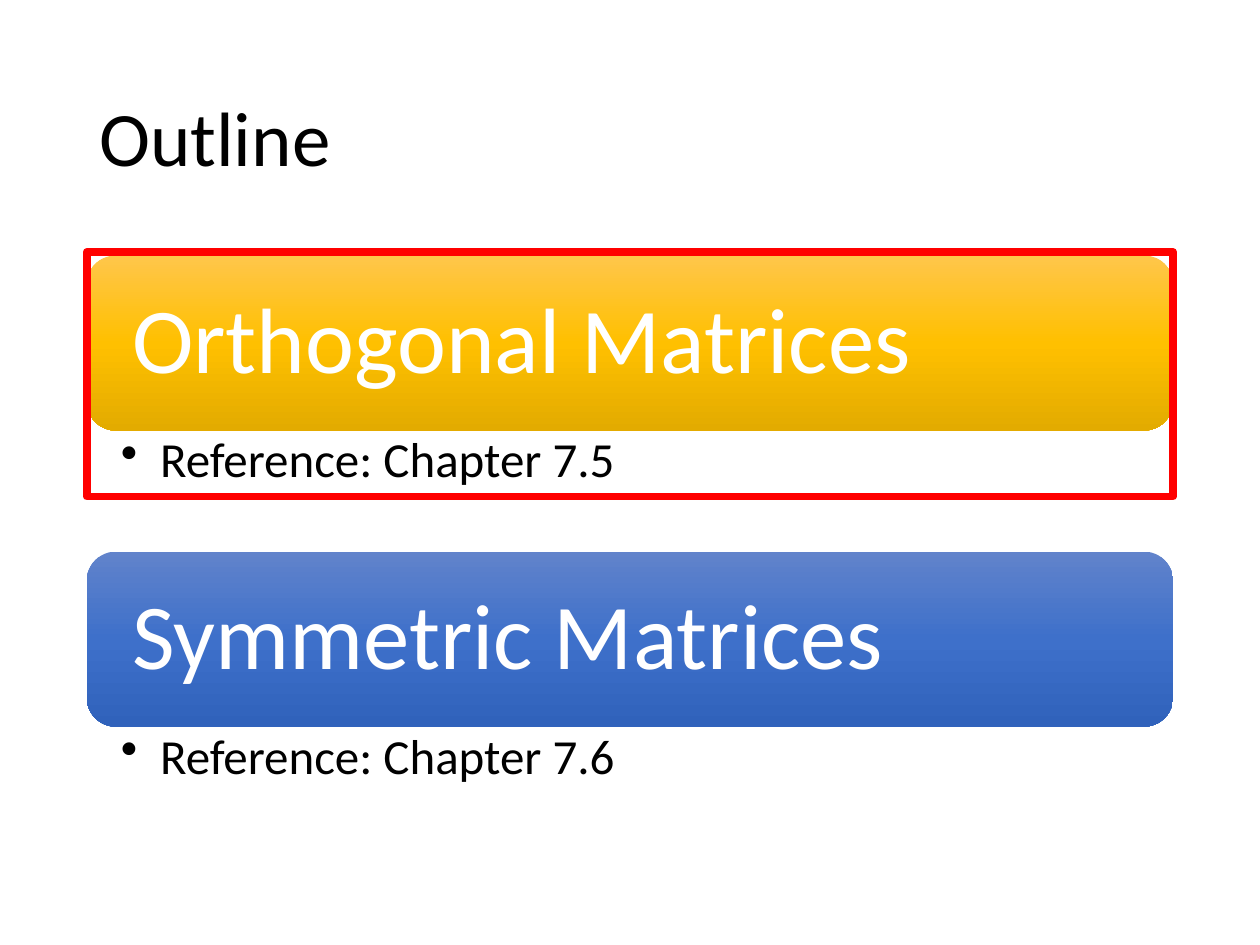
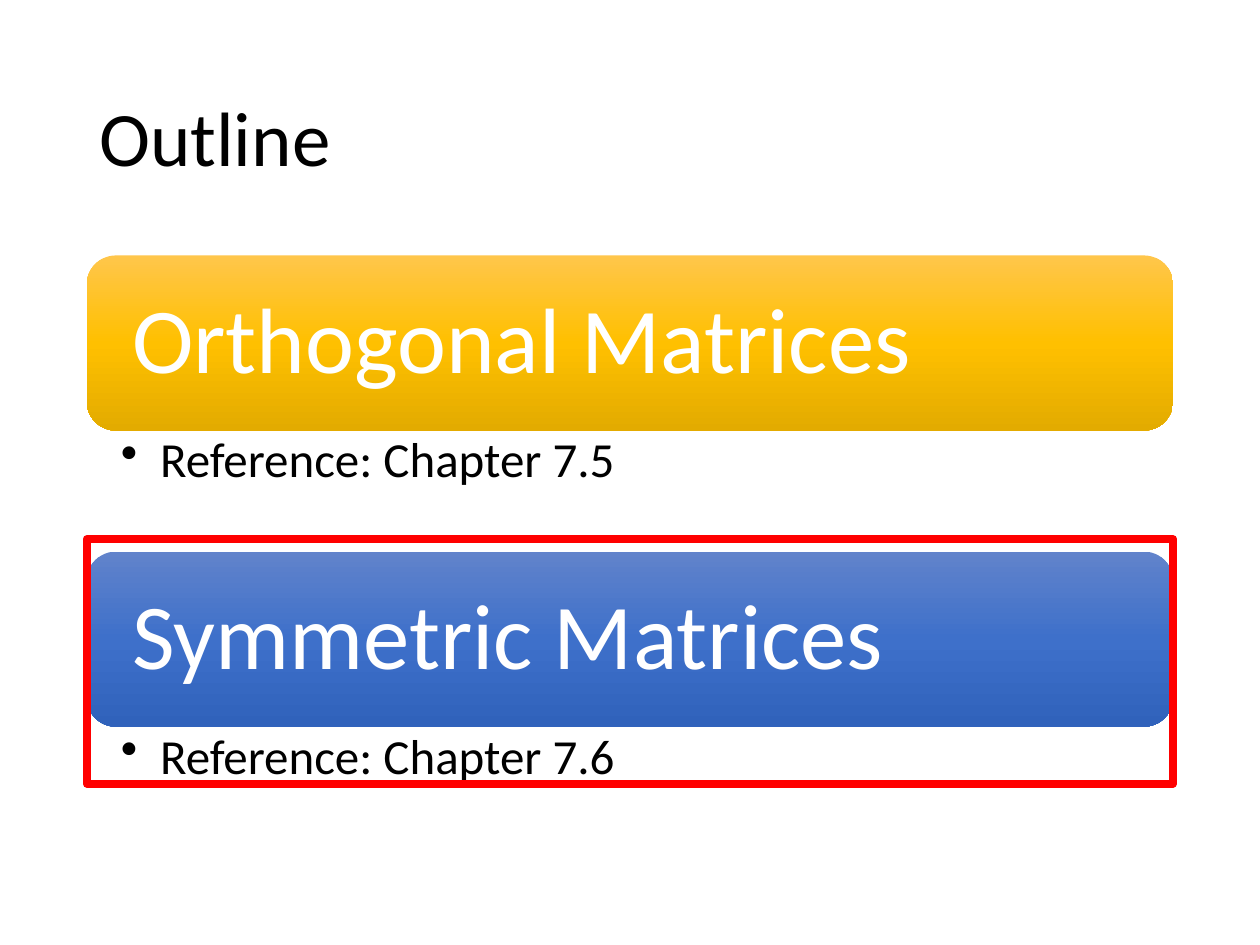
from copy import deepcopy

from pptx import Presentation
from pptx.dml.color import RGBColor
from pptx.enum.shapes import MSO_SHAPE
from pptx.enum.text import MSO_ANCHOR, PP_ALIGN
from pptx.oxml.ns import qn
from pptx.util import Cm, Pt

RECTANGLE = MSO_SHAPE.RECTANGLE
ROUNDED = MSO_SHAPE.ROUNDED_RECTANGLE
MIDDLE = MSO_ANCHOR.MIDDLE
TOP = MSO_ANCHOR.TOP
LEFT_ALIGNED = PP_ALIGN.LEFT

BLACK = RGBColor(0x00, 0x00, 0x00)
WHITE = RGBColor(0xFF, 0xFF, 0xFF)
RED = RGBColor(0xFF, 0x00, 0x00)
GOLDS = (RGBColor(0xFF, 0xC6, 0x4B), RGBColor(0xFF, 0xC0, 0x00), RGBColor(0xE3, 0xAB, 0x00))
BLUES = (RGBColor(0x61, 0x83, 0xCB), RGBColor(0x3E, 0x70, 0xCA), RGBColor(0x30, 0x62, 0xBB))

FONT = "Calibri"
LEFT, WIDTH = Cm(1.75), Cm(21.9)
TITLE_TOP, TITLE_HEIGHT = Cm(1.02), Cm(3.68)
TOPICS_TOP = Cm(5.15)
BANNER_HEIGHT, REFERENCE_HEIGHT = Cm(3.53), Cm(2.44)
HIGHLIGHT_HEIGHT = Cm(4.93)
BULLET_INDENT = Cm(0.79)

TOPICS = (
    ("Orthogonal Matrices", "Reference: Chapter 7.5", GOLDS),
    ("Symmetric Matrices", "Reference: Chapter 7.6", BLUES),
)
HIGHLIGHT_TOPS = (Cm(5.08), Cm(10.87))


def write_line(shape, text, size, color, anchor, margins):
    """Write one left-aligned paragraph; margins are left, top, right, bottom."""
    frame = shape.text_frame
    frame.word_wrap = True
    frame.vertical_anchor = anchor
    frame.margin_left, frame.margin_top, frame.margin_right, frame.margin_bottom = margins
    paragraph = frame.paragraphs[0]
    paragraph.text = text
    paragraph.alignment = LEFT_ALIGNED
    paragraph.line_spacing = 0.9
    paragraph.font.name = FONT
    paragraph.font.size = Pt(size)
    paragraph.font.color.rgb = color
    return paragraph


def add_bullet(paragraph):
    """Give the paragraph a round bullet with a hanging indent."""
    properties = paragraph._p.get_or_add_pPr()
    properties.set("marL", str(BULLET_INDENT))
    properties.set("indent", str(-BULLET_INDENT))
    bullet = properties.makeelement(qn("a:buChar"), {"char": "•"})
    properties.append(bullet)


def fill_downwards(shape, colors):
    """Fill the shape with three colours, evenly spaced from top to bottom."""
    fill = shape.fill
    fill.gradient()
    fill.gradient_angle = 270
    stop_list = shape._element.spPr.find(".//" + qn("a:gsLst"))
    stop_list.append(deepcopy(stop_list[-1]))
    for stop, color, position in zip(fill.gradient_stops, colors, (0, 0.5, 1)):
        stop.color.rgb = color
        stop.position = position


def add_title(slide, text):
    """Add the slide title."""
    title = slide.shapes.add_textbox(LEFT, TITLE_TOP, WIDTH, TITLE_HEIGHT)
    margins = (Cm(0.25), Cm(0.13), Cm(0.25), Cm(0.13))
    write_line(title, text, 44, BLACK, MIDDLE, margins)


def add_topic(slide, top, heading, reference, colors):
    """Add a gradient banner with its bulleted reference below."""
    banner = slide.shapes.add_shape(ROUNDED, LEFT, top, WIDTH, BANNER_HEIGHT)
    banner.shadow.inherit = False
    banner.line.fill.background()
    fill_downwards(banner, colors)
    write_line(banner, heading, 53, WHITE, MIDDLE, (Cm(0.74), Cm(0.56), Cm(0.74), Cm(0.56)))

    note = slide.shapes.add_textbox(LEFT, top + BANNER_HEIGHT, WIDTH, REFERENCE_HEIGHT)
    margins = (Cm(0.69), Cm(0.1), Cm(0.56), Cm(0.1))
    add_bullet(write_line(note, reference, 28, BLACK, TOP, margins))


def add_highlight(slide, top):
    """Frame the current topic in red."""
    highlight = slide.shapes.add_shape(RECTANGLE, LEFT, top, WIDTH, HIGHLIGHT_HEIGHT)
    highlight.shadow.inherit = False
    highlight.fill.background()
    highlight.line.color.rgb = RED
    highlight.line.width = Pt(4.5)


def main():
    """Build one outline slide per highlighted topic."""
    deck = Presentation()
    deck.slide_width, deck.slide_height = Cm(25.4), Cm(19.05)
    blank = deck.slide_layouts[6]
    for highlight_top in HIGHLIGHT_TOPS:
        slide = deck.slides.add_slide(blank)
        add_title(slide, "Outline")
        for row, topic in enumerate(TOPICS):
            add_topic(slide, TOPICS_TOP + row * (BANNER_HEIGHT + REFERENCE_HEIGHT), *topic)
        add_highlight(slide, highlight_top)
    deck.save("out.pptx")


main()
